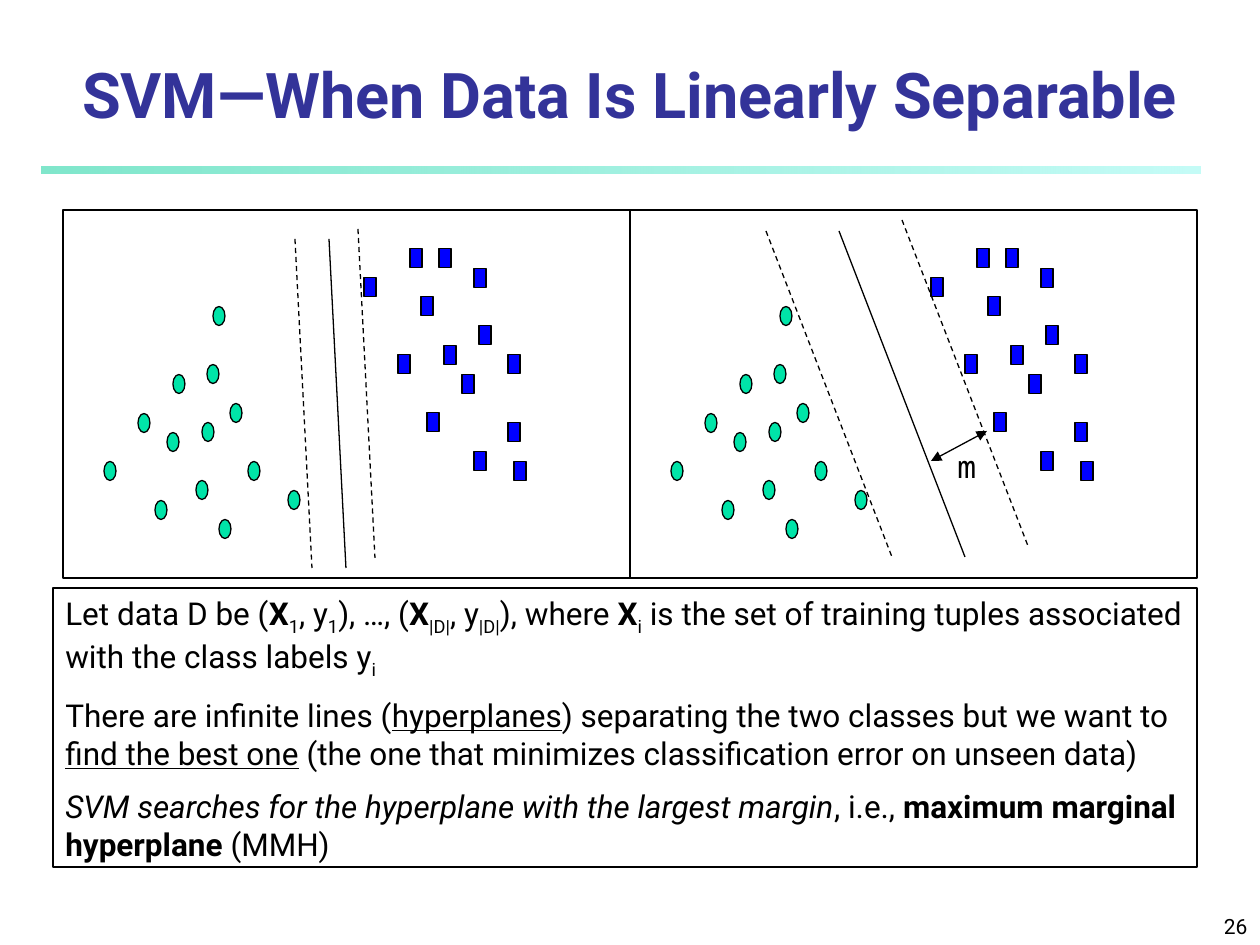
from dataclasses import dataclass

from lxml import etree
from pptx import Presentation
from pptx import util as u
from pptx.dml.color import RGBColor
from pptx.enum import dml, shapes, text
from pptx.oxml.ns import qn

PX = u.Inches(1) / 126


@dataclass
class Theme:
    font: str = "Roboto"
    mono: str = "Noto Sans Mono"
    ink: RGBColor = RGBColor(0, 0, 0)
    title: RGBColor = RGBColor(0x33, 0x33, 0x99)
    circle: RGBColor = RGBColor(0x00, 0xE4, 0xA8)
    square: RGBColor = RGBColor(0x00, 0x00, 0xFF)
    bar: tuple = ((RGBColor(0x00, 0xCE, 0x98), 50), (RGBColor(0x8F, 0xF9, 0xEF), 52))
    title_size: u.Pt = u.Pt(36)
    body_size: u.Pt = u.Pt(18)
    number_size: u.Pt = u.Pt(12)
    line: u.Pt = u.Pt(0.75)


theme = Theme()


def add_box(parent, kind, box, fill=None):
    """Outlined preset shape; box is left, top, width, height in px."""
    sp = parent.add_shape(kind, *(round(v * PX) for v in box))
    sp.shadow.inherit = False
    if fill is None:
        sp.fill.background()
    else:
        sp.fill.solid()
        sp.fill.fore_color.rgb = fill
    sp.line.color.rgb = theme.ink
    sp.line.width = theme.line
    return sp


def add_line(parent, start, end, dashed=False):
    ends = (round(v * PX) for v in (*start, *end))
    cx = parent.add_connector(shapes.MSO_CONNECTOR.STRAIGHT, *ends)
    cx.line.color.rgb = theme.ink
    cx.line.width = theme.line
    if dashed:
        cx.line.dash_style = dml.MSO_LINE.DASH
    etree.SubElement(cx._element.spPr, qn("a:effectLst"))
    return cx


prs = Presentation()
prs.slide_width = round(1260 * PX)
prs.slide_height = round(945 * PX)
s = prs.slides.add_slide(prs.slide_layouts[6])

# Fading bar under the title
bar = add_box(s.shapes, shapes.MSO_SHAPE.RECTANGLE, (42, 167, 1159, 7))
bar.line.fill.background()
bar.fill.gradient()
bar.fill.gradient_angle = 0
for stop, (color, alpha) in zip(bar.fill.gradient_stops, theme.bar):
    stop.color.rgb = color
for node, (color, alpha) in zip(bar._element.spPr.iter(qn("a:srgbClr")), theme.bar):
    etree.SubElement(node, qn("a:alpha"), val=str(alpha * 1000))

# Single-line texts: words, box, alignment, anchor, font, size, colour, bold
LEFT, CENTER, RIGHT = text.PP_ALIGN.LEFT, text.PP_ALIGN.CENTER, text.PP_ALIGN.RIGHT
TOP, BOTTOM = text.MSO_ANCHOR.TOP, text.MSO_ANCHOR.BOTTOM
labels = [
    ("26", (998, 892, 262, 53), RIGHT, BOTTOM,
     theme.font, theme.number_size, theme.ink, False),
    ("SVM—When Data Is Linearly Separable", (0, 53, 1260, 84), CENTER, BOTTOM,
     theme.font, theme.title_size, theme.title, True),
    ("m", (945, 441, 73, 50), LEFT, TOP,
     theme.mono, theme.body_size, theme.ink, False),
]
for words, box, align, anchor, font, size, color, bold in labels:
    tf = s.shapes.add_textbox(*(round(v * PX) for v in box)).text_frame
    tf.word_wrap = True
    tf.vertical_anchor = anchor
    p = tf.paragraphs[0]
    p.text = words
    p.alignment = align
    p.font.name, p.font.size, p.font.bold = font, size, bold
    p.font.color.rgb = color

# Two panels with the same data; points are centres relative to the panel corner
PANEL_W, PANEL_H, PANEL_TOP = 567, 368, 210
DOT_W, DOT_H = 12, 19
circles = [(156, 106), (150, 164), (116, 174), (173, 203), (81, 213), (145, 222),
           (110, 232), (47, 261), (191, 261), (139, 280), (231, 290), (98, 300),
           (162, 319)]
squares = [(353, 48), (382, 48), (417, 68), (307, 77), (364, 96), (422, 125),
           (387, 145), (341, 154), (451, 154), (405, 174), (370, 212), (451, 222),
           (417, 251), (457, 261)]
classes = [(shapes.MSO_SHAPE.OVAL, theme.circle, circles),
           (shapes.MSO_SHAPE.RECTANGLE, theme.square, squares)]
# Panel left, shared run of its lines, then start points: two margins, hyperplane
panels = [(63, (17, 329), [(295, 19), (232, 29), (266, 29)]),
          (630, (126, 326), [(136, 21), (272, 10), (209, 21)])]

for left, (run_x, run_y), starts in panels:
    group = s.shapes.add_group_shape().shapes
    for kind, color, points in classes:
        for x, y in points:
            add_box(group, kind, (left + x - DOT_W / 2, PANEL_TOP + y - DOT_H / 2,
                                  DOT_W, DOT_H), color)
    add_box(group, shapes.MSO_SHAPE.RECTANGLE, (left, PANEL_TOP, PANEL_W, PANEL_H))
    for (x, y), dashed in zip(starts, (True, True, False)):
        x, y = left + x, PANEL_TOP + y
        add_line(group, (x, y), (x + run_x, y + run_y), dashed)

margin = add_line(s.shapes, (931, 461), (987, 431))
for end in ("a:headEnd", "a:tailEnd"):
    etree.SubElement(margin.line._get_or_add_ln(), qn(end), type="triangle")

# Explanation: runs of words and style
paragraphs = [
    [("Let data D be (", ""), ("X", "bold"), ("1", "sub"), (", y", ""), ("1", "sub"),
     ("), …, (", ""), ("X", "bold"), ("|D|", "sub"), (", y", ""), ("|D|", "sub"),
     ("), where ", ""), ("X", "bold"), ("i", "sub"),
     (" is the set of training tuples associated with the class labels y", ""),
     ("i", "sub")],
    [("There are infinite lines (", ""), ("hyperplanes", "underline"),
     (") separating the two classes but we want to ", ""),
     ("find the best one", "underline"),
     (" (the one that minimizes classification error on unseen data)", "")],
    [("SVM searches for the hyperplane with the largest margin", "italic"),
     (", i.e., ", ""), ("maximum marginal hyperplane", "bold"), (" (MMH)", "")],
]
tf = add_box(s.shapes, shapes.MSO_SHAPE.RECTANGLE, (53, 588, 1144, 279)).text_frame
tf.word_wrap = True
tf.vertical_anchor = TOP
for i, runs in enumerate(paragraphs):
    p = tf.add_paragraph() if i else tf.paragraphs[0]
    p.alignment = LEFT
    p.space_before = theme.body_size // 2 if i else 0
    p.font.name, p.font.size = theme.font, theme.body_size
    p.font.color.rgb = theme.ink
    for words, style in runs:
        r = p.add_run()
        r.text = words
        if style == "sub":
            r.font._element.set("baseline", "-25000")
        elif style:
            setattr(r.font, style, True)

prs.save("out.pptx")
